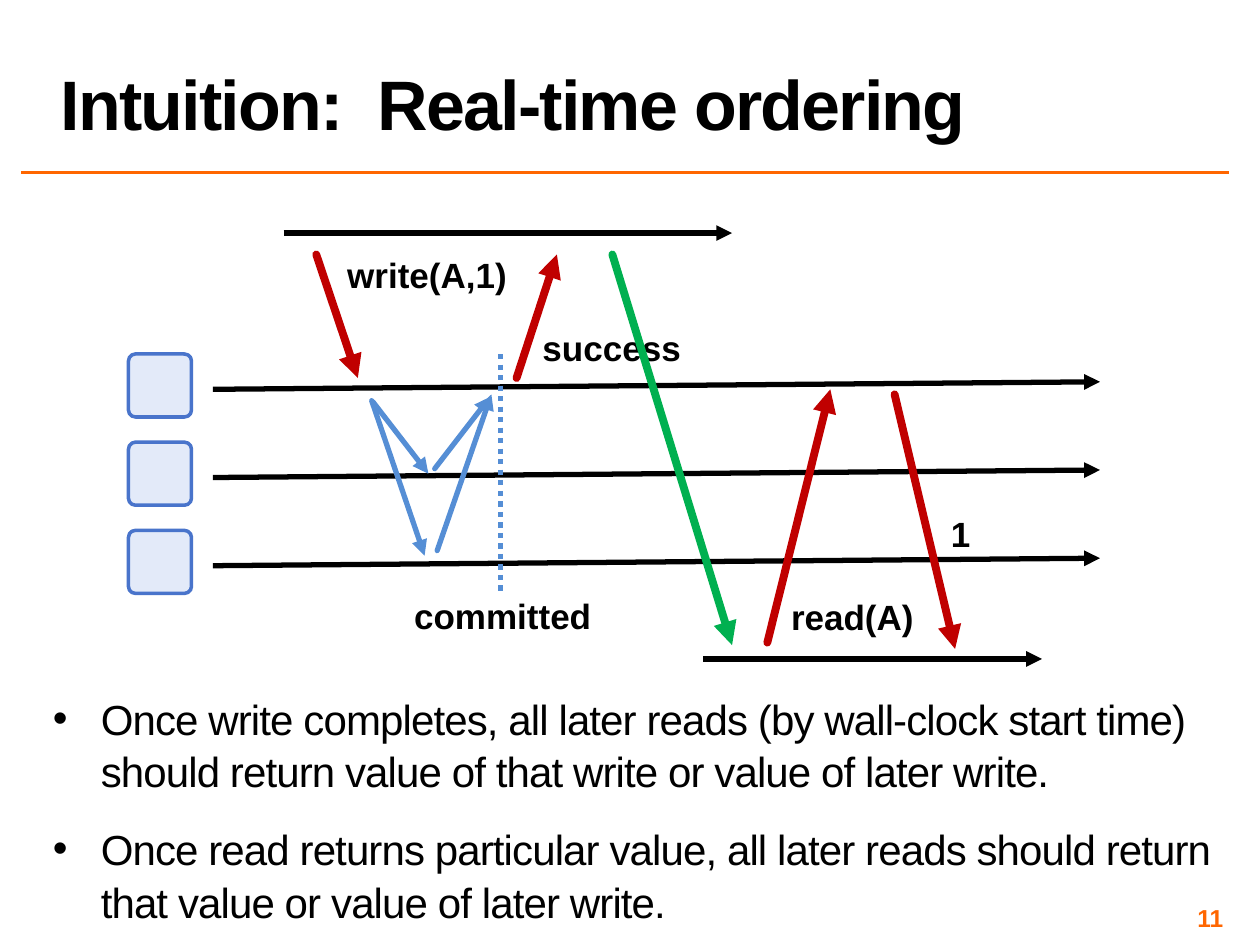
from lxml import etree
from pptx import Presentation
from pptx.dml.color import RGBColor
from pptx.enum.dml import MSO_LINE
from pptx.enum.shapes import MSO_CONNECTOR, MSO_SHAPE
from pptx.enum.text import MSO_ANCHOR, MSO_AUTO_SIZE, PP_ALIGN
from pptx.oxml.ns import qn
from pptx.util import Inches, Pt

STRAIGHT = MSO_CONNECTOR.STRAIGHT
ROUNDED = MSO_SHAPE.ROUNDED_RECTANGLE
DOTTED = MSO_LINE.ROUND_DOT
LEFT, CENTER, RIGHT = PP_ALIGN.LEFT, PP_ALIGN.CENTER, PP_ALIGN.RIGHT
MIDDLE, BOTTOM, TOP = MSO_ANCHOR.MIDDLE, MSO_ANCHOR.BOTTOM, MSO_ANCHOR.TOP
NO_FIT = MSO_AUTO_SIZE.NONE

COLORS = {
    "text": "000000",
    "accent": "FF6600",
    "request": "C00000",
    "later": "00B050",
    "replication": "558ED5",
    "server_fill": "E3EAF9",
    "server_line": "4974CB",
}


def rgb(name):
    return RGBColor.from_string(COLORS[name])


class SlideBuilder:
    font_name = "Arial"

    def __init__(self, slide):
        self.slide = slide

    def style_run(self, run, size, color="text", bold=False, spacing=0):
        font_format = {"name": self.font_name, "size": Pt(size), "bold": bold}
        for attribute, value in font_format.items():
            setattr(run.font, attribute, value)
        run.font.color.rgb = rgb(color)
        if spacing:
            run._r.get_or_add_rPr().set("spc", str(int(spacing * 100)))

    def frame(self, shape, box, anchor, inset=None):
        """Place a text-bearing shape and return its prepared text frame."""
        for side, length in zip(("left", "top", "width", "height"), box):
            setattr(shape, side, Inches(length))
        text_frame = shape.text_frame
        frame_format = {"word_wrap": True, "auto_size": NO_FIT, "vertical_anchor": anchor}
        if inset is not None:
            for side in ("left", "top", "right", "bottom"):
                frame_format["margin_" + side] = Inches(inset)
        for attribute, value in frame_format.items():
            setattr(text_frame, attribute, value)
        return text_frame

    def title(self, text, box):
        paragraph = self.frame(self.slide.shapes.title, box, BOTTOM).paragraphs[0]
        paragraph.alignment = LEFT
        paragraph.line_spacing = 0.8
        run = paragraph.add_run()
        run.text = text
        self.style_run(run, 40, bold=True, spacing=-1)

    def bullets(self, items, box):
        text_frame = self.frame(self.slide.placeholders[1], box, TOP, 0.04)
        for index, item in enumerate(items):
            paragraph = text_frame.add_paragraph() if index else text_frame.paragraphs[0]
            properties = paragraph._p.get_or_add_pPr()
            properties.set("marL", str(Inches(0.38)))
            properties.set("indent", str(-Inches(0.38)))
            etree.SubElement(properties, qn("a:buFont")).set("typeface", self.font_name)
            etree.SubElement(properties, qn("a:buChar")).set("char", "•")
            paragraph_format = {
                "alignment": LEFT,
                "line_spacing": 1.05,
                "space_before": Pt(8 if index else 0),
                "space_after": Pt(6),
            }
            for attribute, value in paragraph_format.items():
                setattr(paragraph, attribute, value)
            run = paragraph.add_run()
            run.text = item
            self.style_run(run, 24, spacing=-0.5)

    def label(self, text, box, size=20, color="text", align=CENTER, anchor=TOP, inset=None):
        textbox = self.slide.shapes.add_textbox(0, 0, 0, 0)
        paragraph = self.frame(textbox, box, anchor, inset).paragraphs[0]
        paragraph.alignment = align
        run = paragraph.add_run()
        run.text = text
        self.style_run(run, size, color, bold=True)

    def line(self, start, end, color="text", width=3, dash=None, arrow=True, rounded=False):
        connector = self.slide.shapes.add_connector(
            STRAIGHT, *(Inches(value) for value in (*start, *end)))
        connector.line.color.rgb = rgb(color)
        connector.line.width = Pt(width)
        if dash:
            connector.line.dash_style = dash
        outline = connector.line._get_or_add_ln()
        if rounded:
            outline.set("cap", "rnd")
        if arrow:
            etree.SubElement(outline, qn("a:tailEnd")).set("type", "triangle")
        etree.SubElement(connector._element.spPr, qn("a:effectLst"))

    def server(self, left, top, side):
        square = self.slide.shapes.add_shape(
            ROUNDED, Inches(left), Inches(top), Inches(side), Inches(side))
        square.adjustments[0] = 0.11
        square.shadow.inherit = False
        square.fill.solid()
        square.fill.fore_color.rgb = rgb("server_fill")
        square.line.color.rgb = rgb("server_line")
        square.line.width = Pt(2)


def main():
    presentation = Presentation()
    presentation.slide_width, presentation.slide_height = Inches(10), Inches(7.5)
    builder = SlideBuilder(presentation.slides.add_slide(presentation.slide_layouts[1]))

    builder.line((0.17, 1.37), (9.75, 1.37), "accent", 2, arrow=False)
    builder.label("11", (7.42, 7.17, 2.33, 0.23), 14, "accent", RIGHT, MIDDLE, 0.04)
    builder.title("Intuition:  Real-time ordering", (0.38, 0.02, 9.62, 1.17))

    for row in range(3):
        top = 2.81 + 0.7 * row
        builder.line((1.69, top + 0.28), (8.73, top + 0.22))
        builder.server(1.02, top, 0.5)

    # Client timelines: the writer above the servers, the reader below
    builder.line((2.25, 1.85), (5.81, 1.85))
    builder.line((5.58, 5.23), (8.27, 5.23))

    labels = [
        ("write(A,1)", (2.51, 1.96, 1.76, 0.44)),
        ("success", (4.1, 2.54, 1.51, 0.44)),
        ("committed", (3.12, 4.67, 1.74, 0.44)),
        ("1", (7.41, 4.02, 0.43, 0.44)),
        ("read(A)", (6.12, 4.68, 1.29, 0.44)),
    ]
    for text, box in labels:
        builder.label(text, box)

    messages = [
        ("request", 4.5, (2.51, 2.02), (2.84, 3)),
        ("request", 4.5, (4.1, 3), (4.42, 2.02)),
        ("later", 4.5, (4.86, 2.02), (5.81, 5.12)),
        ("replication", 3, (2.96, 3.19), (3.4, 3.76)),
        ("replication", 3, (2.95, 3.18), (3.37, 4.41)),
        ("replication", 3, (3.45, 3.72), (3.89, 3.15)),
        ("replication", 3, (3.47, 4.37), (3.9, 3.13)),
        ("request", 4.5, (7.1, 3.13), (7.58, 5.15)),
        ("request", 4.5, (6.09, 5.1), (6.59, 3.09)),
    ]
    for color, width, start, end in messages:
        builder.line(start, end, color, width, rounded=True)
    builder.line((3.97, 2.81), (3.97, 4.71), "replication", dash=DOTTED, arrow=False)

    builder.bullets([
        "Once write completes, all later reads (by wall-clock start time) "
        "should return value of that write or value of later write.",
        "Once read returns particular value, all later reads should return "
        "that value or value of later write.",
    ], (0.38, 5.44, 9.62, 1.91))

    presentation.save("out.pptx")


if __name__ == "__main__":
    main()
